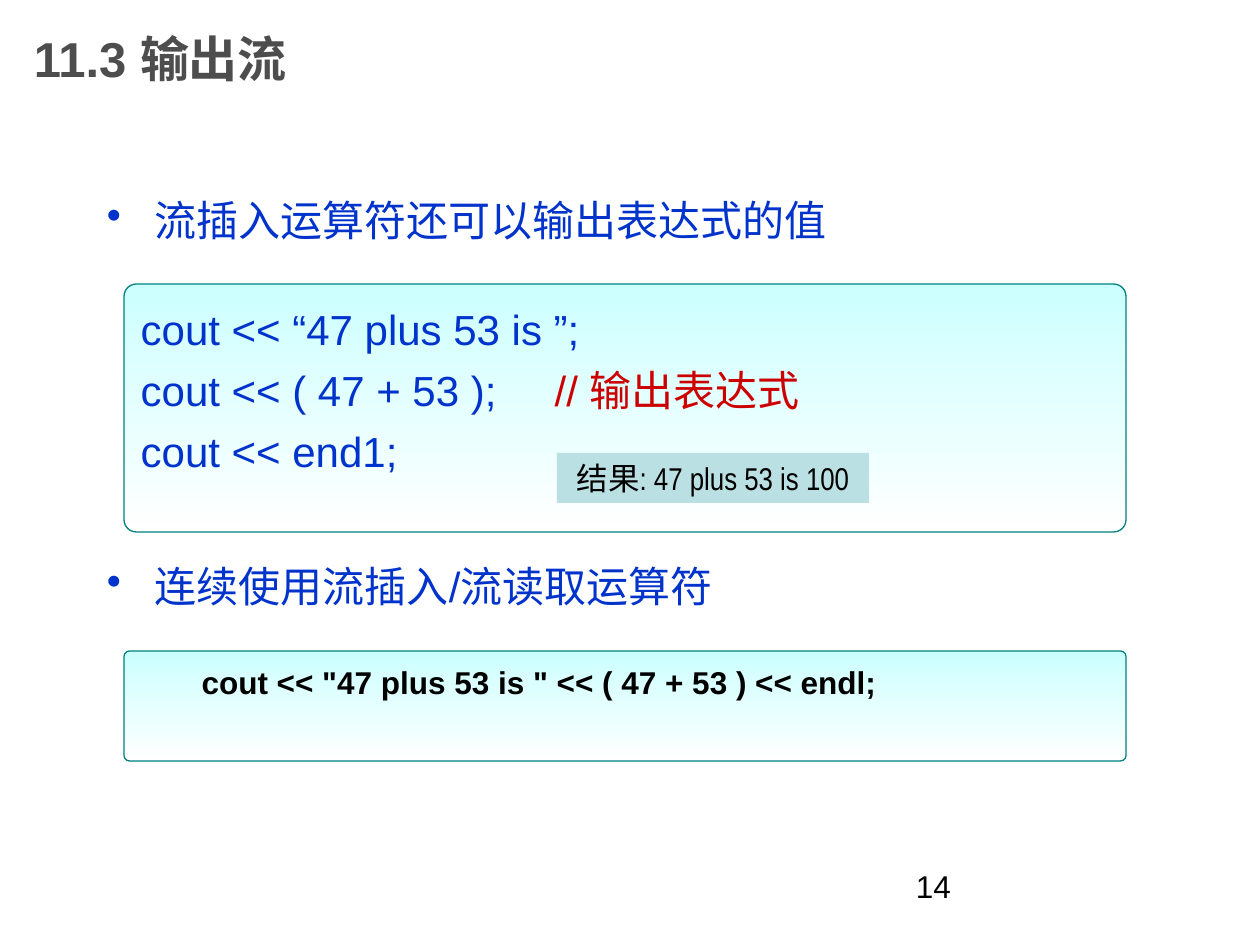
import lxml.etree
import pptx
import pptx.dml.color
import pptx.enum.dml
import pptx.enum.shapes
import pptx.enum.text
import pptx.oxml.ns
import pptx.util

PX = 914400 // 126
BLUE, BLACK, GREY, RED = "0033CC", "000000", "4D4D4D", "CC0000"
TOP = pptx.enum.text.MSO_ANCHOR.TOP
MIDDLE = pptx.enum.text.MSO_ANCHOR.MIDDLE
CODE_BOX = pptx.enum.shapes.MSO_SHAPE.ROUNDED_RECTANGLE
RESULT_BOX = pptx.enum.shapes.MSO_SHAPE.RECTANGLE


def px(length):
    """Turn pixels into EMU."""
    return pptx.util.Emu(length * PX)


def rgb(value):
    """Turn a hex string into a colour."""
    return pptx.dml.color.RGBColor.from_string(value)


def add_element(parent, tag, **attributes):
    """Append a drawing element with the given attributes."""
    element = lxml.etree.SubElement(parent, pptx.oxml.ns.qn(tag))
    for name, value in attributes.items():
        element.set(name, str(value))
    return element


def style_font(font, size, color, bold=False, name="Arial"):
    """Set face, size, colour and weight of a font."""
    font.name = name
    font.size = pptx.util.Pt(size)
    font.bold = bold
    font.color.rgb = rgb(color)


def set_frame(frame, top_inset=6, anchor=TOP, wrap=True):
    """Set the insets, anchor and wrapping of a text frame."""
    frame.margin_left = frame.margin_right = px(13)
    frame.margin_top, frame.margin_bottom = px(top_inset), px(6)
    frame.vertical_anchor = anchor
    frame.word_wrap = wrap


def add_label(slide, box, text, size, color, bold=False, anchor=TOP):
    """Add a text box with one line and return its paragraph."""
    frame = slide.shapes.add_textbox(*map(px, box)).text_frame
    set_frame(frame, anchor=anchor)
    paragraph = frame.paragraphs[0]
    paragraph.text = text
    style_font(paragraph.font, size, color, bold)
    return paragraph


def add_bullet(slide, box, text):
    """Add one bulleted statement."""
    paragraph = add_label(slide, box, "", 24, BLUE)
    properties = paragraph._p.get_or_add_pPr()
    properties.set("marL", str(px(48)))
    properties.set("indent", str(px(-48)))
    bullet = lxml.etree.Element(pptx.oxml.ns.qn("a:buChar"), char="•")
    properties.insert(0, bullet)
    paragraph.text = text


def add_panel(slide, box, kind):
    """Add an unshadowed shape with left-aligned, top-anchored text."""
    shape = slide.shapes.add_shape(kind, *map(px, box))
    shape.shadow.inherit = False
    return shape


def add_code(slide, box, lines, size, color, bold=False, top_inset=16, indent=0):
    """Add a gradient code panel whose lines are (code, comment) pairs."""
    shape = add_panel(slide, box, CODE_BOX)
    shape.adjustments[0] = 0.05
    shape.fill.gradient()
    shape.fill.gradient_angle = 270
    for stop, stop_color in zip(shape.fill.gradient_stops, ("CCFFFF", "FFFFFF")):
        stop.color.rgb = rgb(stop_color)
    shape.line.color.rgb = rgb("008080")
    shape.line.width = pptx.util.Pt(0.75)
    frame = shape.text_frame
    set_frame(frame, top_inset)
    for index, (code, comment) in enumerate(lines):
        paragraph = frame.add_paragraph() if index else frame.paragraphs[0]
        paragraph.alignment = pptx.enum.text.PP_ALIGN.LEFT
        properties = paragraph._p.get_or_add_pPr()
        properties.set("marL", str(px(indent)))
        if index:
            paragraph.space_before = pptx.util.Pt(6)
        if comment:
            tabs = add_element(properties, "a:tabLst")
            add_element(tabs, "a:tab", pos=px(414), algn="l")
        style_font(paragraph.font, size, color, bold)
        paragraph.add_run().text = code
        if comment:
            run = paragraph.add_run()
            run.text = "\t" + comment
            run.font.color.rgb = rgb(RED)


def add_result(slide, box, text):
    """Add the filled box that shows the program's output."""
    shape = add_panel(slide, box, RESULT_BOX)
    shape.fill.solid()
    shape.fill.fore_color.rgb = rgb("BBE0E3")
    shape.line.fill.background()
    set_frame(shape.text_frame, anchor=MIDDLE, wrap=False)
    paragraph = shape.text_frame.paragraphs[0]
    paragraph.text = text
    paragraph.alignment = pptx.enum.text.PP_ALIGN.CENTER
    style_font(paragraph.font, 18, BLACK, name="Arial Narrow")


def main():
    """Build the slide and save it."""
    presentation = pptx.Presentation()
    presentation.slide_width, presentation.slide_height = px(1260), px(945)
    slide = presentation.slides.add_slide(presentation.slide_layouts[6])
    add_label(slide, (21, 0, 945, 116), "11.3 输出流", 28, GREY, True, MIDDLE)
    add_bullet(slide, (94, 189, 1071, 66), "流插入运算符还可以输出表达式的值")
    add_code(slide, (124, 284, 1002, 248), [
        ("cout << “47 plus 53 is ”;", ""),
        ("cout << ( 47 + 53 );", "// 输出表达式"),
        ("cout << end1;", ""),
    ], 24, BLUE)
    add_result(slide, (557, 453, 312, 50), "结果: 47 plus 53 is 100")
    add_bullet(slide, (94, 555, 1071, 66), "连续使用流插入/流读取运算符")
    add_code(slide, (124, 651, 1002, 110), [
        ('cout << "47 plus 53 is " << ( 47 + 53 ) << endl;', ""),
    ], 18, BLACK, True, top_inset=10, indent=63)
    add_label(slide, (903, 861, 294, 66), "14", 18, BLACK)
    presentation.save("out.pptx")


if __name__ == "__main__":
    main()
